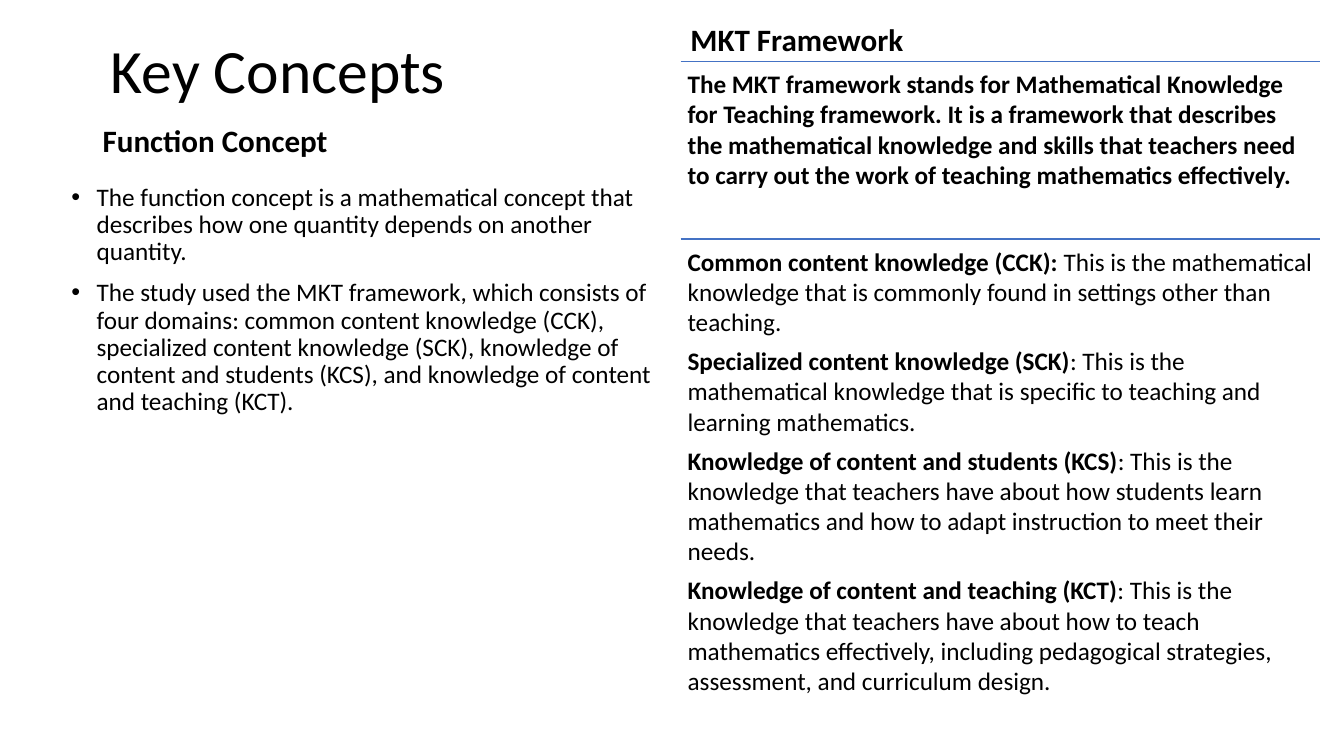
from pptx import Presentation
from pptx.dml.color import RGBColor
from pptx.enum.shapes import MSO_CONNECTOR
from pptx.enum.text import MSO_ANCHOR, MSO_AUTO_SIZE, PP_ALIGN
from pptx.oxml.ns import qn
from pptx.util import Inches, Pt
from lxml import etree

BLACK = RGBColor(0x00, 0x00, 0x00)
RULE_BLUE = RGBColor(0x44, 0x72, 0xC4)
FONT = "Calibri"

FUNCTION_POINTS = [
    "The function concept is a mathematical concept that describes how one quantity depends on another quantity.",
    "The study used the MKT framework, which consists of four domains: common content knowledge (CCK), "
    "specialized content knowledge (SCK), knowledge of content and students (KCS), and knowledge of content "
    "and teaching (KCT).",
]
MKT_DEFINITION = (
    "The MKT framework stands for Mathematical Knowledge for Teaching framework. It is a framework that "
    "describes the mathematical knowledge and skills that teachers need to carry out the work of teaching "
    "mathematics effectively."
)
MKT_DOMAINS = [
    ("Common content knowledge (CCK): ",
     "This is the mathematical knowledge that is commonly found in settings other than teaching."),
    ("Specialized content knowledge (SCK)",
     ": This is the mathematical knowledge that is specific to teaching and learning mathematics."),
    ("Knowledge of content and students (KCS)",
     ": This is the knowledge that teachers have about how students learn mathematics and how to adapt "
     "instruction to meet their needs."),
    ("Knowledge of content and teaching (KCT)",
     ": This is the knowledge that teachers have about how to teach mathematics effectively, including "
     "pedagogical strategies, assessment, and curriculum design."),
]


def add_run(paragraph, text, size, bold=False):
    run = paragraph.add_run()
    run.text = text
    run.font.name = FONT
    run.font.size = Pt(size)
    run.font.bold = bold
    run.font.color.rgb = BLACK


def set_indent(paragraph, left, first_line=0):
    properties = paragraph._p.get_or_add_pPr()
    properties.set("marL", str(Inches(left)))
    properties.set("indent", str(Inches(first_line)))
    return properties


def add_text(slide, left, top, width, height, paragraphs, size, anchor=MSO_ANCHOR.TOP,
             line_spacing=1.0, before=0, after=0, inset=None, bullet=None):
    box = slide.shapes.add_textbox(Inches(left), Inches(top), Inches(width), Inches(height))
    frame = box.text_frame
    frame.word_wrap = True
    frame.vertical_anchor = anchor
    if inset is not None:
        frame.margin_left = frame.margin_right = Inches(inset)
        frame.margin_top = frame.margin_bottom = Inches(inset)
    for index, runs in enumerate(paragraphs):
        paragraph = frame.add_paragraph() if index else frame.paragraphs[0]
        paragraph.line_spacing = line_spacing
        paragraph.space_before = Pt(before)
        paragraph.space_after = Pt(after)
        if bullet:
            properties = set_indent(paragraph, 0.25, -0.25)
            etree.SubElement(properties, qn("a:buFont")).set("typeface", "Arial")
            etree.SubElement(properties, qn("a:buChar")).set("char", bullet)
        for text, bold in runs:
            add_run(paragraph, text, size, bold)


def add_heading(slide, left, top, width, text):
    add_text(slide, left, top, width, 0.43, [[(text, True)]], 22.2,
             anchor=MSO_ANCHOR.BOTTOM, line_spacing=0.8, before=10)


def add_ruled_section(slide, left, top, width, height, paragraphs):
    rule = slide.shapes.add_connector(
        MSO_CONNECTOR.STRAIGHT, Inches(left), Inches(top), Inches(left + width), Inches(top))
    rule.line.color.rgb = RULE_BLUE
    rule.line.width = Pt(1)
    etree.SubElement(rule._element.spPr, qn("a:effectLst"))
    add_text(slide, left, top, width, height, paragraphs, 18, after=6.3, inset=0.07)


def place_title(slide, left, top, width, height):
    title = slide.shapes.title
    title.left, title.top = Inches(left), Inches(top)
    title.width, title.height = Inches(width), Inches(height)
    frame = title.text_frame
    frame.auto_size = MSO_AUTO_SIZE.NONE
    frame.vertical_anchor = MSO_ANCHOR.MIDDLE
    paragraph = frame.paragraphs[0]
    paragraph.alignment = PP_ALIGN.LEFT
    paragraph.line_spacing = 0.9
    set_indent(paragraph, 1)
    add_run(paragraph, "Key Concepts", 44)


def add_function_concept(slide, left, top, width, height):
    add_heading(slide, left + 0.31, top, width - 0.31, "Function Concept")
    add_text(slide, left, top + 0.59, width, height - 0.59,
             [[(point, False)] for point in FUNCTION_POINTS], 18,
             line_spacing=0.9, before=10, bullet="•")


def add_mkt_framework(slide, left, top, width, height):
    definition_top = top + 0.42
    domains_top = definition_top + 1.76
    add_heading(slide, left, top, 5.67, "MKT Framework")
    add_ruled_section(slide, left, definition_top, width, domains_top - definition_top,
                      [[(MKT_DEFINITION, True)]])
    add_ruled_section(slide, left, domains_top, width, top + height - domains_top,
                      [[(domain, True), (meaning, False)] for domain, meaning in MKT_DOMAINS])


def main():
    presentation = Presentation()
    presentation.slide_width = Inches(13.33)
    presentation.slide_height = Inches(7.5)
    slide = presentation.slides.add_slide(presentation.slide_layouts[5])
    place_title(slide, 0, 0, 11.5, 1.45)
    add_function_concept(slide, 0.61, 1.19, 5.95, 5.91)
    add_mkt_framework(slide, 6.75, 0.19, 6.34, 7.31)
    presentation.save("out.pptx")


if __name__ == "__main__":
    main()
